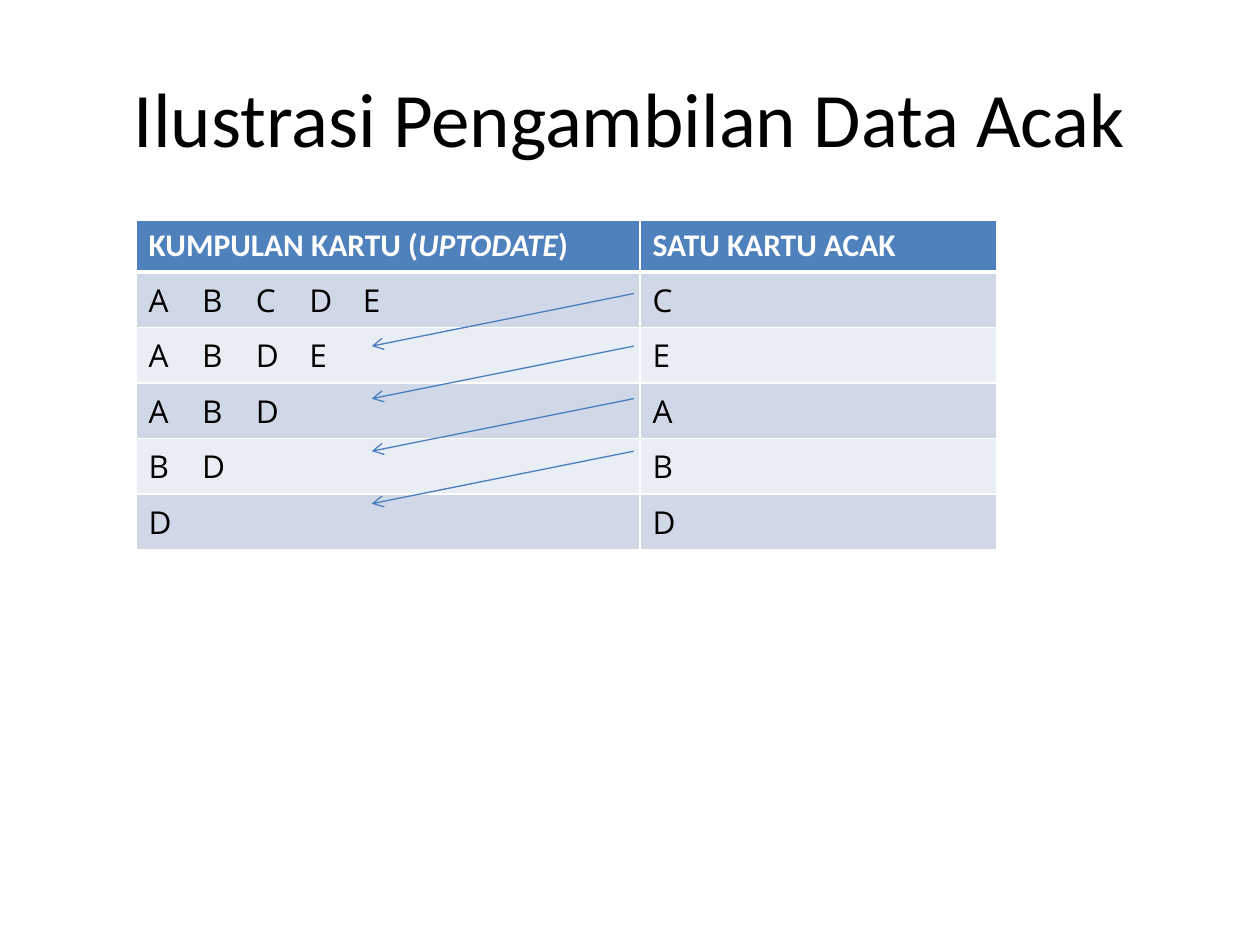
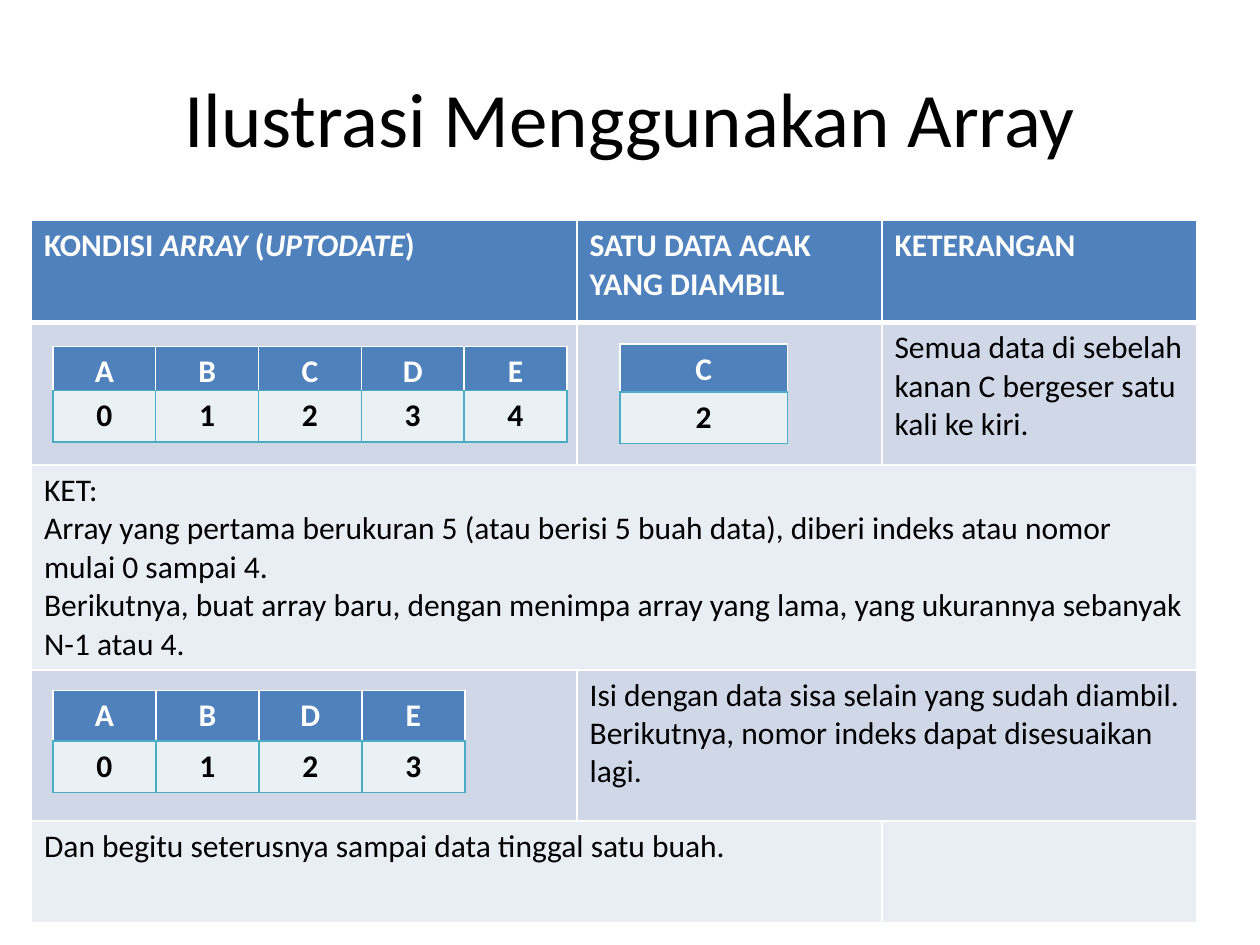
from lxml import etree
from pptx import Presentation
from pptx import util as u
from pptx.dml import color
from pptx.enum import shapes, text
from pptx.oxml import ns

HUES = {"head": "4F81BD", "odd": "D0D8E8", "even": "E9EDF4", "index": "E9F1F5",
        "teal": "4BACC6", "arrow": "4B7EBC", "white": "FFFFFF", "black": "000000"}
TITLE = (0.5, 0.3, 9, 1.25)
SIZE = 18


def hue(name):
    """Return a palette colour."""
    return color.RGBColor.from_string(HUES[name])


def sub(node, tag, **atts):
    """Append a drawing element to a node."""
    return etree.SubElement(node, ns.qn("a:" + tag), **atts)


def style(run, ink, font="Calibri", size=SIZE, bold=False):
    """Format one run."""
    run.font.name, run.font.size, run.font.bold = font, u.Pt(size), bold
    run.font.color.rgb = hue(ink)


def edge(cell, name, **wide):
    """Draw the four borders of a cell, 1 pt unless a side says otherwise."""
    props = cell._tc.get_or_add_tcPr()
    for side in "LRTB":
        line = sub(props, "ln" + side, w=str(u.Pt(wide.get(side, 1))))
        sub(sub(line, "solidFill"), "srgbClr", val=HUES[name])


def write(cell, words, ink, font="Calibri", bold=False, mid=False):
    """Fill a cell with text, where asterisks enclose italics."""
    cell.text_frame.text = words.replace("*", "")
    for para, line in zip(cell.text_frame.paragraphs, words.split("\n")):
        if mid:
            para.alignment = text.PP_ALIGN.CENTER
        if "*" in line:
            para.clear()
            for i, part in enumerate(line.split("*")):
                run = para.add_run()
                run.text, run.font.italic = part, i % 2 == 1
        if "\t" in line:
            stops = sub(para._p.get_or_add_pPr(), "tabLst")
            for i in range(1, line.count("\t") + 1):
                sub(stops, "tab", pos=str(u.Inches(0.425 * i)), algn="l")
        for run in para.runs:
            style(run, ink, font, bold=bold)


def grid(slide, box, cols, rows):
    """Add a table with the given column widths and row heights."""
    frame = slide.shapes.add_table(len(rows), len(cols), *map(u.Inches, box))
    table = frame.table
    for col, wide in zip(table.columns, cols):
        col.width = u.Inches(wide)
    for row, high in zip(table.rows, rows):
        row.height = u.Inches(high)
    return table


def banded(slide, box, cols, rows, data, font="Calibri", spans=()):
    """Add a table with a blue header and banded rows."""
    table = grid(slide, box, cols, rows)
    for r, line in enumerate(data):
        for c, words in enumerate(line):
            cell = table.cell(r, c)
            edge(cell, "white", B=1 if r else 3, T=3 if r == 1 else 1)
            cell.fill.solid()
            cell.fill.fore_color.rgb = hue("head" if r == 0 else "odd" if r % 2 else "even")
            if words:
                write(cell, words, "black" if r else "white",
                      font if r else "Calibri", bold=r == 0)
    for r, start, end in spans:
        table.cell(r, start).merge(table.cell(r, end))


def strip(slide, box, items, fill, ink, line, base):
    """Add a one-row table of equal cells."""
    table = grid(slide, box, [box[2] / len(items)] * len(items), [box[3]])
    for c, item in enumerate(items):
        cell = table.cell(0, c)
        edge(cell, line, B=base)
        cell.fill.solid()
        cell.fill.fore_color.rgb = hue(fill)
        write(cell, item, ink, bold=True, mid=True)


def array(slide, box, items, nums, drop):
    """Add array values with their index numbers below."""
    x, y, w, h = box
    strip(slide, box, items, "head", "white", "white", 3)
    strip(slide, (x, y + drop, w, 0.41), nums, "index", "black", "teal", 1)


def arrow(slide, box):
    """Draw an arrow from the top right to the bottom left of a box."""
    x, y, w, h = box
    line = slide.shapes.add_connector(shapes.MSO_CONNECTOR.STRAIGHT,
                                      *map(u.Inches, (x + w, y, x, y + h)))
    line.line.color.rgb, line.line.width = hue("arrow"), u.Pt(0.75)
    sub(line.line._get_or_add_ln(), "tailEnd", type="arrow")
    sub(line._element.spPr, "effectLst")


def start(deck, words):
    """Add a slide with a formatted title."""
    slide = deck.slides.add_slide(deck.slide_layouts[5])
    head = slide.shapes.title
    head.left, head.top, head.width, head.height = map(u.Inches, TITLE)
    frame = head.text_frame
    frame.text = words
    frame.vertical_anchor = text.MSO_ANCHOR.MIDDLE
    frame.paragraphs[0].alignment = text.PP_ALIGN.CENTER
    style(frame.paragraphs[0].runs[0], "black", size=44)
    return slide


def cards(deck):
    """Build the slide on drawing random cards."""
    slide = start(deck, "Ilustrasi Pengambilan Data Acak")
    draws = [("ABCDE", "C"), ("ABDE", "E"), ("ABD", "A"), ("BD", "B"), ("D", "D")]
    data = [("KUMPULAN KARTU (*UPTODATE*)", "SATU KARTU ACAK")]
    data += [("\t".join(pool), pick) for pool, pick in draws]
    banded(slide, (1.08, 1.75, 6.83, 2.43), (4, 2.83), [0.41] * 6, data, "Open Sans")
    step = 0.417
    for i in range(len(draws) - 1):
        arrow(slide, (2.95, 2.33 + i * step, 2.08, step))


def arrays(deck):
    """Build the slide on the same draw with arrays."""
    slide = start(deck, "Ilustrasi Menggunakan Array")
    data = [
        ("KONDISI *ARRAY* (*UPTODATE*)", "SATU DATA ACAK YANG DIAMBIL", "KETERANGAN"),
        ("", "", "Semua data di sebelah kanan C bergeser satu kali ke kiri."),
        ("KET:\nArray yang pertama berukuran 5 (atau berisi 5 buah data), diberi indeks "
         "atau nomor mulai 0 sampai 4.\nBerikutnya, buat array baru, dengan menimpa array "
         "yang lama, yang ukurannya sebanyak N-1 atau 4.", "", ""),
        ("", "Isi dengan data sisa selain yang sudah diambil.\n"
         "Berikutnya, nomor indeks dapat disesuaikan lagi.", ""),
        ("Dan begitu seterusnya sampai data tinggal satu buah.", "", "")]
    banded(slide, (0.25, 1.75, 9.25, 5.5), (4.33, 2.42, 2.5),
           (0.81, 1.13, 1.55, 1.2, 0.81), data, spans=((2, 0, 2), (3, 1, 2), (4, 0, 1)))
    array(slide, (0.42, 2.75, 4.08, 0.41), "ABCDE", "01234", 0.35)
    array(slide, (4.92, 2.73, 1.33, 0.42), "C", "2", 0.38)
    array(slide, (0.42, 5.48, 3.27, 0.41), "ABDE", "0123", 0.4)


def main():
    """Build and save the deck."""
    deck = Presentation()
    deck.slide_width, deck.slide_height = u.Inches(10), u.Inches(7.5)
    cards(deck)
    arrays(deck)
    deck.save("out.pptx")


main()
